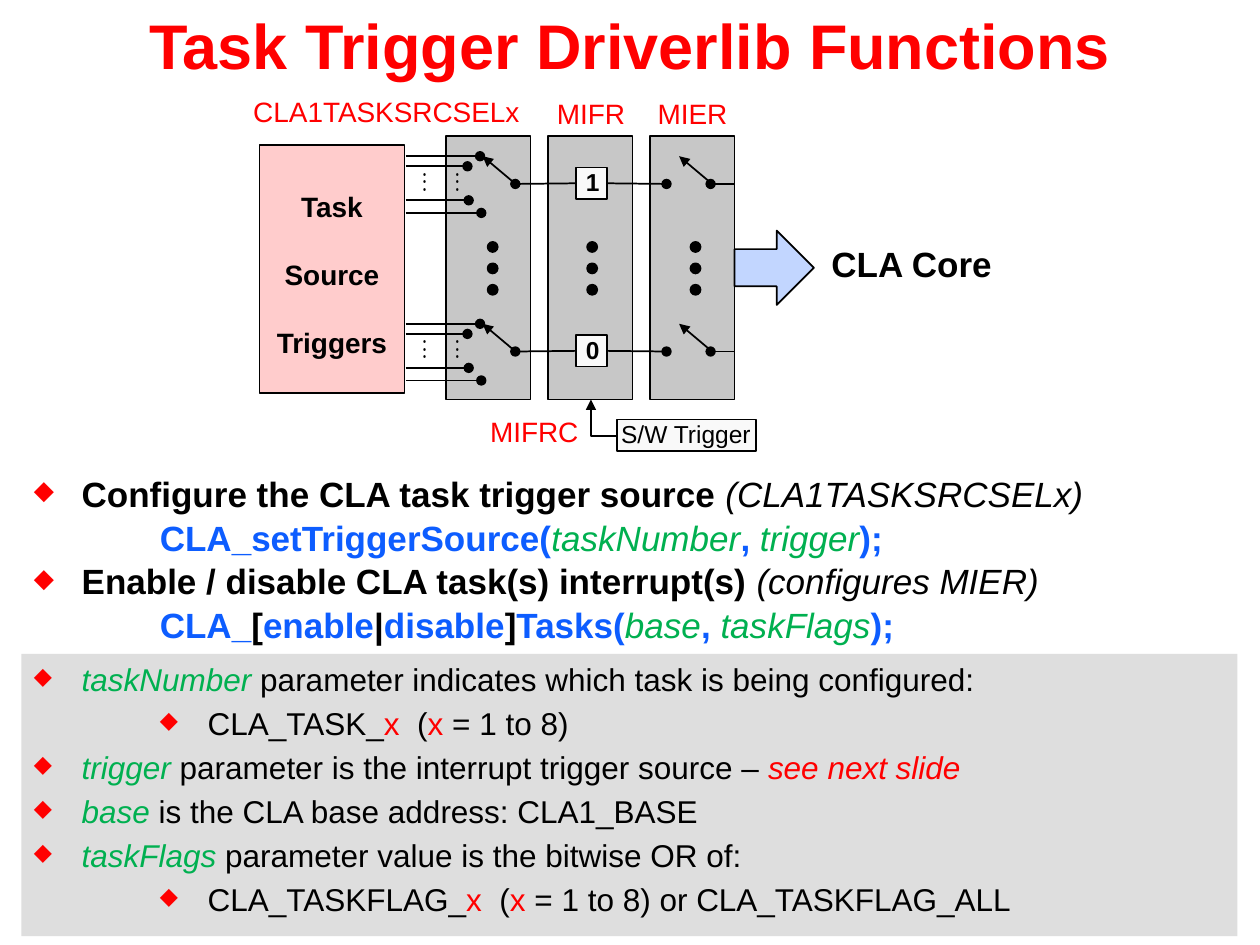
from lxml import etree
from pptx import Presentation
from pptx import util as u
from pptx.dml.color import RGBColor
from pptx.enum import shapes, text
from pptx.oxml import ns

BLACK = RGBColor(0, 0, 0)
RED = RGBColor(0xFF, 0, 0)
BLUE = RGBColor(0x0D, 0x5D, 0xFF)
GREEN = RGBColor(0, 0xB0, 0x50)
GREY = RGBColor(0xC7, 0xC7, 0xC7)
PALE_GREY = RGBColor(0xDE, 0xDE, 0xDE)
OFF_WHITE = RGBColor(0xF9, 0xF9, 0xF9)
PINK = RGBColor(0xFF, 0xCC, 0xCC)
SKY = RGBColor(0xC2, 0xD6, 0xFF)

SHAPE = shapes.MSO_SHAPE
LEFT, CENTER = text.PP_ALIGN.LEFT, text.PP_ALIGN.CENTER
TOP, MIDDLE = text.MSO_ANCHOR.TOP, text.MSO_ANCHOR.MIDDLE

PLAIN = dict(color=BLACK)
STRONG = dict(color=BLACK, bold=True)
ASIDE = dict(color=BLACK, italic=True)
CODE = dict(color=BLUE, bold=True)
PARAMETER = dict(color=GREEN, italic=True)
MARK = dict(color=RED)
NOTE = dict(color=RED, italic=True)


class Drawing:
    font = "Arial"
    line_width = u.Pt(1)

    def __init__(self, slide):
        self.slide = slide

    def shape(self, kind, left, top, width, height, fill, outlined=True):
        box = self.slide.shapes.add_shape(kind, *map(u.Inches, (left, top, width, height)))
        box.shadow.inherit = False
        box.fill.solid()
        box.fill.fore_color.rgb = fill
        if outlined:
            self.outline(box)
        else:
            box.line.fill.background()
        return box

    def outline(self, item):
        item.line.color.rgb = BLACK
        item.line.width = self.line_width

    def arrowheads(self, item, **ends):
        line = item.line._get_or_add_ln()
        for end in ("head", "tail"):
            if end in ends:
                etree.SubElement(line, ns.qn(f"a:{end}End"), type=ends[end])

    def line(self, start, end, **ends):
        link = self.slide.shapes.add_connector(
            shapes.MSO_CONNECTOR.STRAIGHT, *map(u.Inches, (*start, *end)))
        self.outline(link)
        self.arrowheads(link, **ends)
        etree.SubElement(link._element.spPr, ns.qn("a:effectLst"))
        return link

    def path_arrow(self, start, *points):
        builder = self.slide.shapes.build_freeform(*map(u.Inches, start), scale=1.0)
        builder.add_line_segments(
            [tuple(map(u.Inches, point)) for point in points], close=False)
        arrow = builder.convert_to_shape()
        arrow.shadow.inherit = False
        arrow.fill.background()
        self.outline(arrow)
        self.arrowheads(arrow, tail="triangle")

    def text_box(self, left, top, width, height, **frame_format):
        box = self.slide.shapes.add_textbox(*map(u.Inches, (left, top, width, height)))
        self.frame(box, **frame_format)
        return box

    def frame(self, box, **frame_format):
        values = dict(word_wrap=True, vertical_anchor=TOP) | frame_format
        for name, value in values.items():
            setattr(box.text_frame, name, value)

    def label(self, words, left, top, width, height, size, color=BLACK,
              bold=False, font=None, inset=0, anchor=TOP):
        margins = {}
        if inset is not None:
            margins = {f"margin_{side}": inset for side in ("left", "top", "right", "bottom")}
        box = self.text_box(left, top, width, height, word_wrap=False, vertical_anchor=anchor,
                            auto_size=text.MSO_AUTO_SIZE.SHAPE_TO_FIT_TEXT, **margins)
        self.paragraphs(box, [(None, [(words, dict(color=color, bold=bold))])],
                        size, font, line_spacing=0.8)

    def paragraphs(self, box, rows, size, font=None, before=0, **para_format):
        for index, (indent, spans) in enumerate(rows):
            para = box.text_frame.paragraphs[0] if index == 0 else box.text_frame.add_paragraph()
            if indent is not None:
                self.bullet(para, indent)
            elif spans[0][0].startswith("\t"):
                self.tab_stop(para, 1)
            values = dict(alignment=LEFT, space_before=u.Pt(before if index else 0)) | para_format
            for name, value in values.items():
                setattr(para, name, value)
            for words, style in spans:
                self.span(para, words, size, font or self.font, style)

    def bullet(self, para, indent):
        properties = para._p.get_or_add_pPr()
        properties.set("marL", str(u.Inches(indent)))
        properties.set("indent", str(-u.Inches(0.38)))
        color = etree.SubElement(properties, ns.qn("a:buClr"))
        etree.SubElement(color, ns.qn("a:srgbClr"), val=str(RED))
        etree.SubElement(properties, ns.qn("a:buSzPct"), val="75000")
        etree.SubElement(properties, ns.qn("a:buChar"), char="◆")

    def tab_stop(self, para, position):
        stops = etree.SubElement(para._p.get_or_add_pPr(), ns.qn("a:tabLst"))
        etree.SubElement(stops, ns.qn("a:tab"), pos=str(u.Inches(position)), algn="l")

    def span(self, para, words, size, font, style):
        run = para.add_run()
        run.text = words
        values = dict(name=font, size=u.Pt(size), bold=False, italic=False) | style
        run.font.color.rgb = values.pop("color")
        for name, value in values.items():
            setattr(run.font, name, value)


def draw_text(drawing):
    title = drawing.text_box(0, 0, 10, 0.81, vertical_anchor=MIDDLE, margin_bottom=u.Inches(0.16))
    drawing.paragraphs(title, [(None, [("Task Trigger Driverlib Functions",
                                       dict(color=RED, bold=True))])], 36, alignment=CENTER)

    functions = drawing.text_box(0.17, 3.7, 9.66, 1.51)
    drawing.paragraphs(functions, [
        (0.38, [("Configure the CLA task trigger source ", STRONG), ("(CLA1TASKSRCSELx)", ASIDE)]),
        (None, [("\tCLA_setTriggerSource(", CODE), ("taskNumber", PARAMETER), (",", CODE),
                (" trigger", PARAMETER), (");", CODE)]),
        (0.38, [("Enable / disable CLA task(s) interrupt(s) ", STRONG),
                ("(configures MIER)", ASIDE)]),
        (None, [("\tCLA_", CODE), ("[", STRONG), ("enable", CODE), ("|", STRONG),
                ("disable", CODE), ("]", STRONG), ("Tasks(", CODE), ("base", PARAMETER),
                (", ", CODE), ("taskFlags", PARAMETER), (");", CODE)]),
    ], 20, space_after=u.Pt(1))

    parameters = drawing.shape(SHAPE.RECTANGLE, 0.17, 5.19, 9.65, 2.24, PALE_GREY, outlined=False)
    drawing.frame(parameters)
    drawing.paragraphs(parameters, [
        (0.38, [("taskNumber", PARAMETER),
                (" parameter indicates which task is being configured:", PLAIN)]),
        (1.38, [("CLA_TASK_", PLAIN), ("x", MARK), ("  (", PLAIN), ("x", MARK),
                (" = 1 to 8)", PLAIN)]),
        (0.38, [("trigger", PARAMETER), (" parameter is the interrupt trigger source – ", PLAIN),
                ("see next slide", NOTE)]),
        (0.38, [("base", PARAMETER), (" is the CLA base address: CLA1_BASE", PLAIN)]),
        (0.38, [("taskFlags", PARAMETER), (" parameter value is the bitwise OR of:", PLAIN)]),
        (1.38, [("CLA_TASKFLAG_", PLAIN), ("x", MARK), ("  (", PLAIN), ("x", MARK),
                (" = 1 to 8) or CLA_TASKFLAG_ALL", PLAIN)]),
    ], 18, before=3.5)


def draw_channel(drawing, digit, top):
    middle = top + 0.13
    flag = drawing.shape(SHAPE.RECTANGLE, 4.57, top, 0.25, 0.25, OFF_WHITE)
    drawing.line((4.09, middle), (4.57, middle), head="oval").end_connect(flag, 1)
    drawing.label(digit, 4.65, top + 0.04, 0.13, 0.19, 14, bold=True)
    drawing.line((4.82, middle), (5.29, middle), tail="oval").begin_connect(flag, 3)
    drawing.line((5.64, middle), (5.83, middle), head="oval")
    for left in (3.83, 5.39):
        drawing.line((left, top - 0.09), (left + 0.25, top + 0.12), head="triangle")
    for end, offset in ((3.81, -0.09), (3.71, -0.01), (3.72, 0.26), (3.82, 0.36)):
        drawing.line((3.22, top + offset), (end, top + offset), tail="oval")
    for left in (3.26, 3.52):
        for step in range(3):
            drawing.label("•", left, top - 0.03 + 0.06 * step, 0.24, 0.18, 6,
                          font="Arial Narrow", inset=None)


def draw_diagram(drawing):
    for column in range(3):
        drawing.shape(SHAPE.RECTANGLE, 3.54 + 0.81 * column, 1.08, 0.67, 2.09, GREY)

    sources = drawing.shape(SHAPE.RECTANGLE, 2.06, 1.15, 1.15, 1.97, PINK)
    drawing.frame(sources, margin_top=u.Inches(0.25), margin_bottom=u.Inches(0.25))
    drawing.paragraphs(sources, [(None, [(word, STRONG)]) for word in ("Task", "Source", "Triggers")],
                       16, before=6, alignment=CENTER, line_spacing=1.4, space_after=u.Pt(6))

    for digit, top in (("1", 1.33), ("0", 2.66)):
        draw_channel(drawing, digit, top)
    for left in (3.87, 4.66, 5.48):
        for step in range(3):
            drawing.shape(SHAPE.OVAL, left, 1.92 + 0.17 * step, 0.08, 0.08, BLACK)

    for name, left, top, width in (("CLA1TASKSRCSELx", 2.01, 0.8, 2.21), ("MIFR", 4.42, 0.82, 0.6),
                                   ("MIER", 5.22, 0.82, 0.6), ("MIFRC", 3.89, 3.34, 0.76)):
        drawing.label(name, left, top, width, 0.21, 16, RED)

    drawing.shape(SHAPE.RECTANGLE, 4.9, 3.33, 1.1, 0.25, OFF_WHITE)
    drawing.label("S/W Trigger", 4.93, 3.37, 1.06, 0.19, 14)
    drawing.path_arrow((4.9, 3.46), (4.69, 3.46), (4.69, 3.17))
    drawing.shape(SHAPE.RIGHT_ARROW, 5.83, 1.83, 0.63, 0.59, SKY)
    drawing.label("CLA Core", 6.5, 1.94, 1.49, 0.37, 20, bold=True, inset=None, anchor=MIDDLE)


def main():
    deck = Presentation()
    deck.slide_width, deck.slide_height = u.Inches(10), u.Inches(7.5)
    drawing = Drawing(deck.slides.add_slide(deck.slide_layouts[6]))
    draw_text(drawing)
    draw_diagram(drawing)
    deck.save("out.pptx")


if __name__ == "__main__":
    main()
